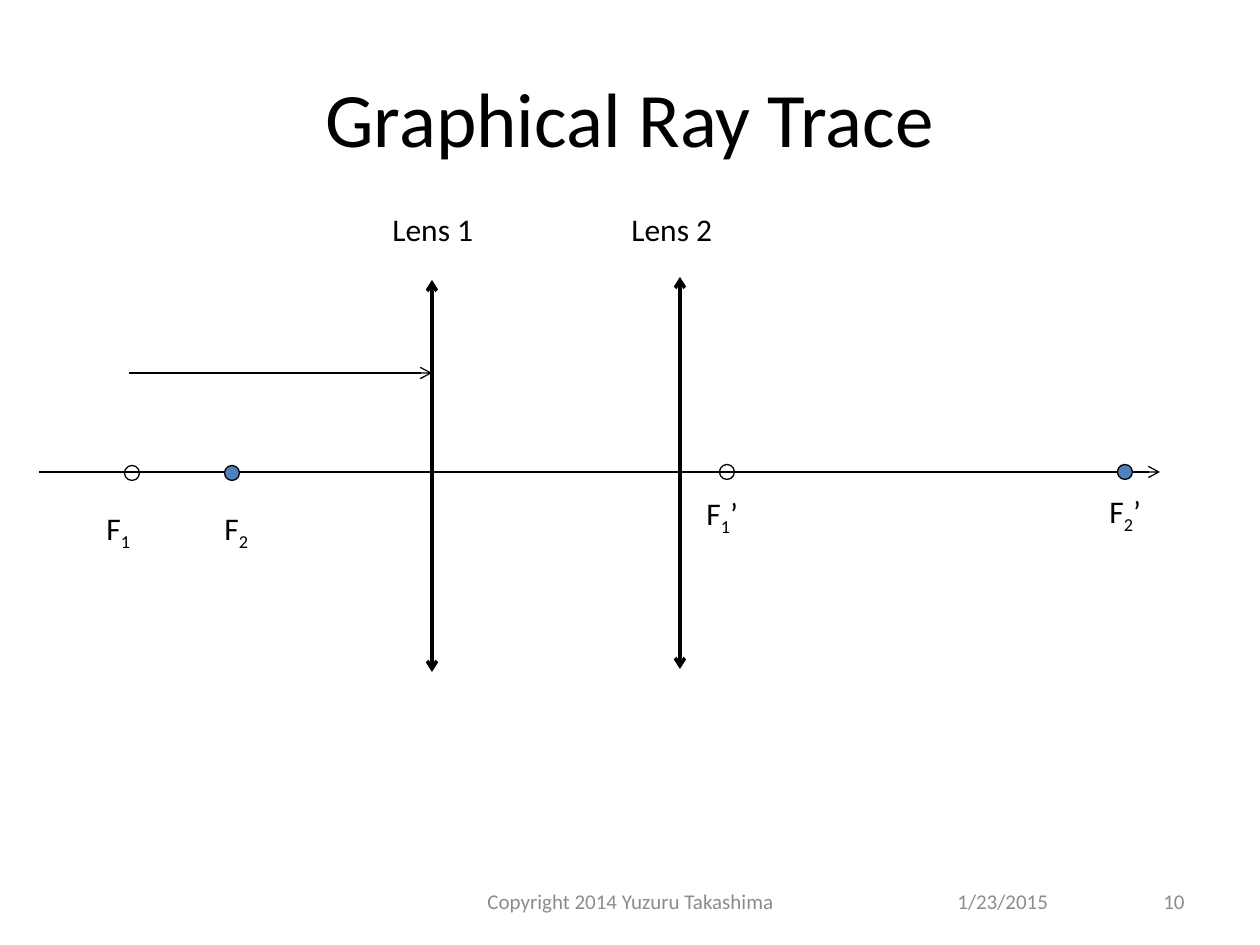
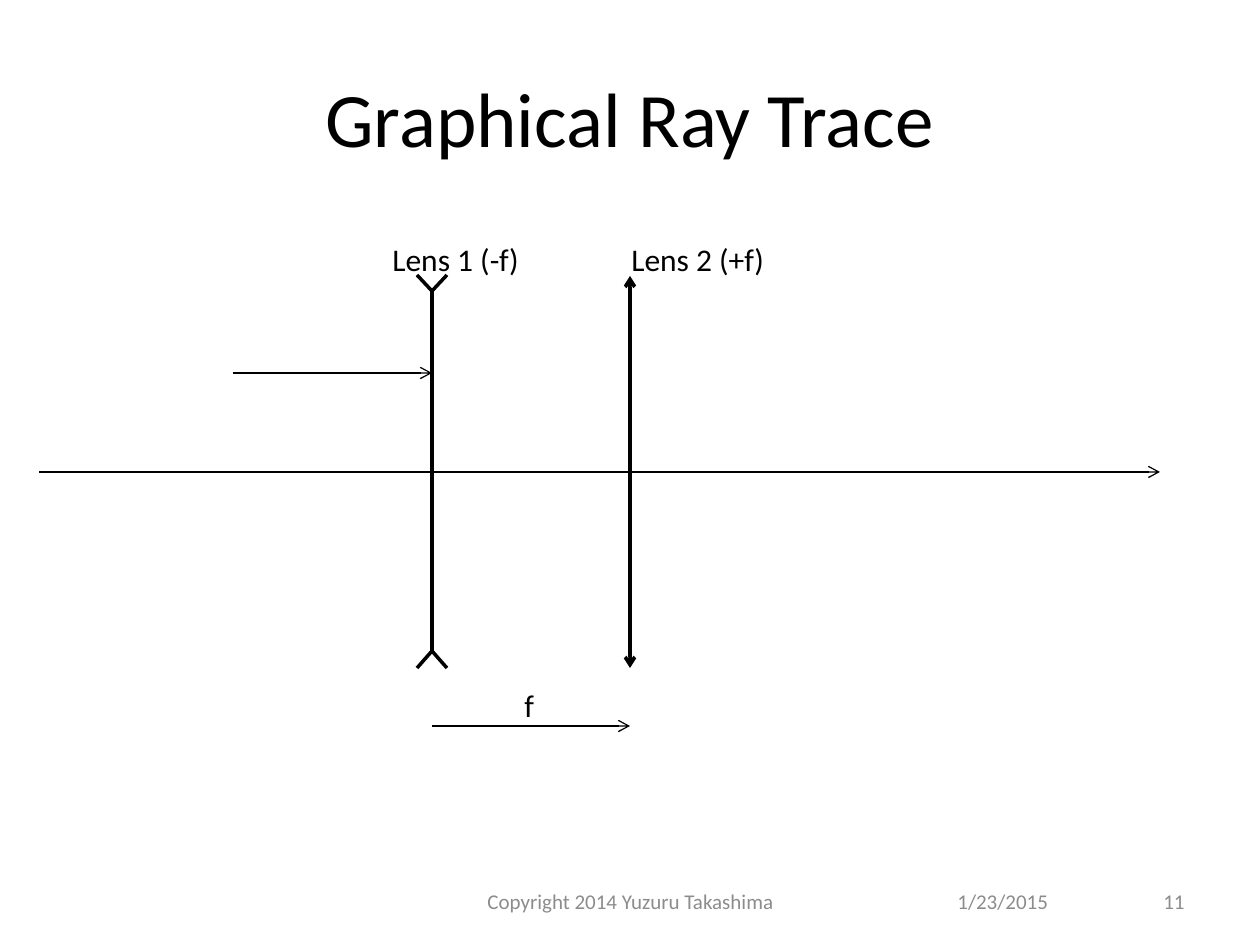
from dataclasses import dataclass

from lxml import etree
from pptx import Presentation
from pptx.dml.color import RGBColor
from pptx.enum.shapes import MSO_CONNECTOR, MSO_SHAPE
from pptx.enum.text import MSO_ANCHOR, MSO_AUTO_SIZE, PP_ALIGN
from pptx.oxml.ns import qn
from pptx.util import Pt

STRAIGHT = MSO_CONNECTOR.STRAIGHT
OVAL = MSO_SHAPE.OVAL
LEFT, CENTER, RIGHT = PP_ALIGN.LEFT, PP_ALIGN.CENTER, PP_ALIGN.RIGHT
TOP, MIDDLE = MSO_ANCHOR.TOP, MSO_ANCHOR.MIDDLE
FIT_SHAPE, NO_FIT = MSO_AUTO_SIZE.SHAPE_TO_FIT_TEXT, MSO_AUTO_SIZE.NONE

PIXEL = 914400 / 126  # EMU in one pixel
SLIDE_WIDTH, SLIDE_HEIGHT = 1260, 945


@dataclass(frozen=True)
class Theme:
    font: str = "Calibri"
    ink: RGBColor = RGBColor(0x00, 0x00, 0x00)
    muted: RGBColor = RGBColor(0x8C, 0x8C, 0x8C)
    focus: RGBColor = RGBColor(0x4F, 0x81, 0xBD)
    title_size: int = 44
    label_size: int = 18
    footer_size: int = 12
    thin: float = 0.75
    thick: float = 2


@dataclass(frozen=True)
class Label:
    """One line of text; a subscript and a suffix may follow the base text."""
    text: str
    left: int
    top: int
    width: int
    subscript: str = ""
    suffix: str = ""


@dataclass(frozen=True)
class Line:
    start: tuple[int, int]
    end: tuple[int, int]
    width: float
    head: bool = False
    tail: bool = False


@dataclass(frozen=True)
class FocalPoint:
    x: int
    y: int
    filled: bool


@dataclass(frozen=True)
class Diagram:
    number: str
    lenses: list[Line]
    arrows: list[Line]
    labels: list[Label]
    points: list[FocalPoint]
    cap_tips: list[tuple[int, int]]  # (vertex y, tip y) of a diverging lens


THEME = Theme()

# Shared geometry
TITLE = "Graphical Ray Trace"
TITLE_BOX = (63, 38, 1134, 157)
FOOTER_TOP, TEXT_HEIGHT = 876, 50
FOOTERS = [("1/23/2015", 945, 294, LEFT),
           ("Copyright 2014 Yuzuru Takashima", 431, 399, CENTER)]
NUMBER_LEFT, NUMBER_WIDTH = 903, 294
LENS_1_X = 432
AXIS_Y, RAY_Y = 472, 373
LABEL_1_LEFT, LABEL_2_LEFT = 380, 619
POINT_SIZE, CAP_REACH = 15, 15


def emu(pixels: float) -> int:
    return round(pixels * PIXEL)


def apply_format(target, values: dict) -> None:
    for name, value in values.items():
        setattr(target, name, value)


def add_run(paragraph, text: str, size: int, color: RGBColor, baseline: int = 0) -> None:
    run = paragraph.add_run()
    run.text = text
    apply_format(run.font, {"name": THEME.font, "size": Pt(size)})
    run.font.color.rgb = color
    if baseline:
        run.font._element.set("baseline", str(baseline))


def add_text_box(slide, box: tuple, frame_format: dict, align):
    shape = slide.shapes.add_textbox(*map(emu, box))
    apply_format(shape.text_frame, frame_format)
    paragraph = shape.text_frame.paragraphs[0]
    paragraph.alignment = align
    return paragraph


def add_title(slide) -> None:
    title = slide.shapes.title
    apply_format(title, dict(zip(("left", "top", "width", "height"), map(emu, TITLE_BOX))))
    title.text_frame.vertical_anchor = MIDDLE
    paragraph = title.text_frame.paragraphs[0]
    paragraph.alignment = CENTER
    add_run(paragraph, TITLE, THEME.title_size, THEME.ink)


def add_footers(slide, number: str) -> None:
    frame_format = {"word_wrap": True, "auto_size": NO_FIT, "vertical_anchor": MIDDLE}
    for text, left, width, align in FOOTERS + [(number, NUMBER_LEFT, NUMBER_WIDTH, RIGHT)]:
        paragraph = add_text_box(slide, (left, FOOTER_TOP, width, TEXT_HEIGHT),
                                 frame_format, align)
        add_run(paragraph, text, THEME.footer_size, THEME.muted)


def add_label(slide, label: Label) -> None:
    frame_format = {"word_wrap": False, "auto_size": FIT_SHAPE, "vertical_anchor": TOP}
    paragraph = add_text_box(slide, (label.left, label.top, label.width, TEXT_HEIGHT),
                             frame_format, LEFT)
    for text, baseline in ((label.text, 0), (label.subscript, -25000), (label.suffix, 0)):
        if text:
            add_run(paragraph, text, THEME.label_size, THEME.ink, baseline)


def add_line(shapes, line: Line) -> None:
    connector = shapes.add_connector(STRAIGHT, *map(emu, line.start + line.end))
    connector.line.width = Pt(line.width)
    connector.line.color.rgb = THEME.ink
    properties = connector._element.spPr
    outline = properties.find(qn("a:ln"))
    for tag, shown in (("a:headEnd", line.head), ("a:tailEnd", line.tail)):
        if shown:
            etree.SubElement(outline, qn(tag), type="arrow")
    etree.SubElement(properties, qn("a:effectLst"))


def add_cap(slide, vertex_y: int, tip_y: int) -> None:
    """Draw the forked end of a diverging lens as a group."""
    group = slide.shapes.add_group_shape()
    for side in (1, -1):
        tip = (LENS_1_X + side * CAP_REACH, tip_y)
        add_line(group.shapes, Line((LENS_1_X, vertex_y), tip, THEME.thick))


def add_focal_point(slide, point: FocalPoint) -> None:
    half = POINT_SIZE / 2
    shape = slide.shapes.add_shape(OVAL, emu(point.x - half), emu(point.y - half),
                                   emu(POINT_SIZE), emu(POINT_SIZE))
    shape.shadow.inherit = False
    shape.line.width = Pt(THEME.thin)
    shape.line.color.rgb = THEME.ink
    if point.filled:
        shape.fill.solid()
        shape.fill.fore_color.rgb = THEME.focus
    else:
        shape.fill.background()


def converging_lens(x: int, top: int, bottom: int) -> Line:
    return Line((x, top), (x, bottom), THEME.thick, head=True, tail=True)


def arrow(left: int, right: int, y: int) -> Line:
    return Line((left, y), (right, y), THEME.thin, tail=True)


def add_diagram(presentation, diagram: Diagram) -> None:
    slide = presentation.slides.add_slide(presentation.slide_layouts.get_by_name("Title Only"))
    add_title(slide)
    for line in diagram.lenses + [AXIS] + diagram.arrows:
        add_line(slide.shapes, line)
    for vertex_y, tip_y in diagram.cap_tips:
        add_cap(slide, vertex_y, tip_y)
    for point in diagram.points:
        add_focal_point(slide, point)
    for label in diagram.labels:
        add_label(slide, label)
    add_footers(slide, diagram.number)


AXIS = arrow(39, 1160, AXIS_Y)

DIAGRAMS = [
    # Two converging lenses with their focal points
    Diagram(
        number="10",
        lenses=[converging_lens(LENS_1_X, 280, 672), converging_lens(680, 277, 669)],
        arrows=[arrow(129, LENS_1_X, RAY_Y)],
        labels=[Label("Lens 1", LABEL_1_LEFT, 204, 121),
                Label("Lens 2", LABEL_2_LEFT, 204, 121),
                Label("F", 94, 503, 57, "1"),
                Label("F", 212, 503, 57, "2"),
                Label("F", 694, 488, 64, "1", "’"),
                Label("F", 1097, 486, 64, "2", "’")],
        points=[FocalPoint(132, AXIS_Y + 1, False), FocalPoint(232, AXIS_Y + 1, True),
                FocalPoint(727, AXIS_Y, False), FocalPoint(1125, AXIS_Y, True)],
        cap_tips=[],
    ),
    # A diverging lens followed by a converging lens at distance f
    Diagram(
        number="11",
        lenses=[Line((LENS_1_X, 289), (LENS_1_X, 651), THEME.thick),
                converging_lens(630, 276, 668)],
        arrows=[arrow(LENS_1_X, 630, 726), arrow(233, LENS_1_X, RAY_Y)],
        labels=[Label("Lens 1 (-f)", LABEL_1_LEFT, 234, 170),
                Label("Lens 2 (+f)", LABEL_2_LEFT, 234, 179),
                Label("f", 512, 680, 34)],
        points=[],
        cap_tips=[(651, 668), (291, 275)],
    ),
]


def main() -> None:
    presentation = Presentation()
    apply_format(presentation, {"slide_width": emu(SLIDE_WIDTH),
                                "slide_height": emu(SLIDE_HEIGHT)})
    for diagram in DIAGRAMS:
        add_diagram(presentation, diagram)
    presentation.save("out.pptx")


main()
